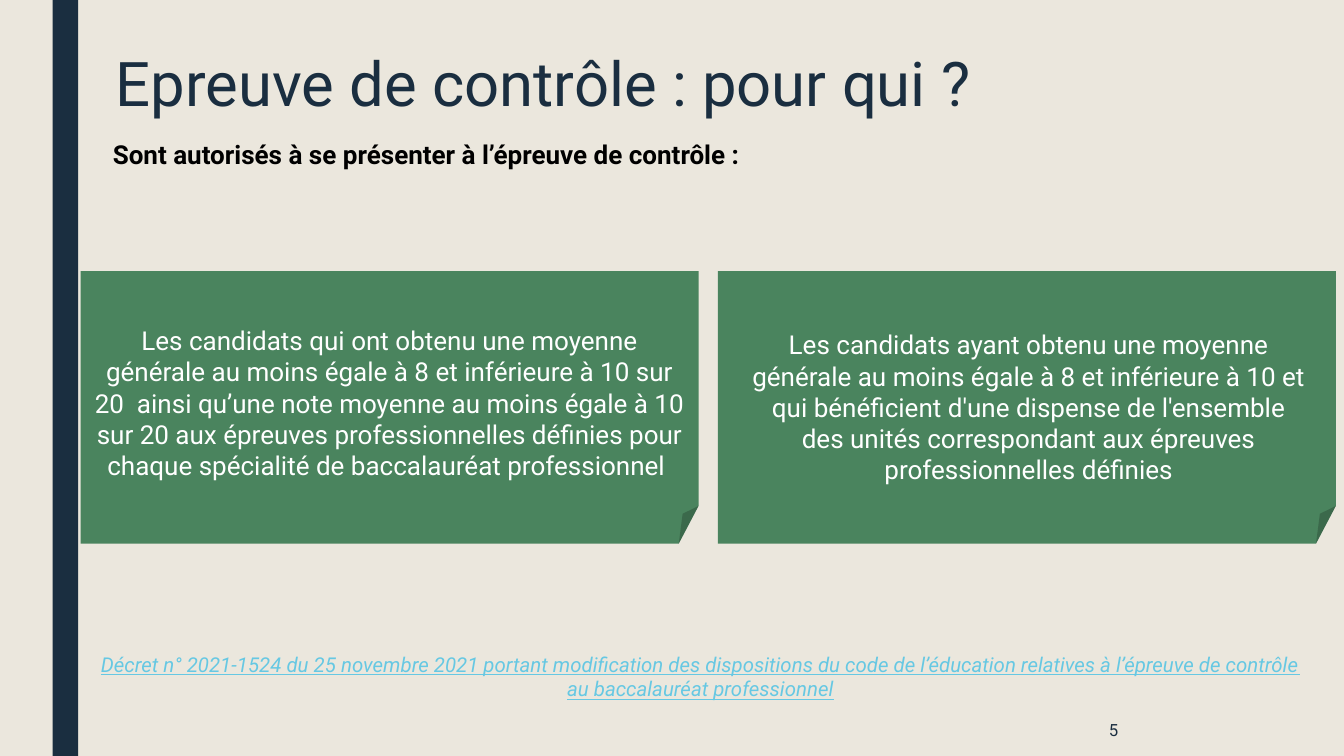
from lxml.etree import SubElement
from pptx import Presentation
from pptx.dml.color import RGBColor
from pptx.enum.shapes import MSO_SHAPE
from pptx.enum.text import MSO_ANCHOR, MSO_AUTO_SIZE, PP_ALIGN
from pptx.oxml.ns import qn
from pptx.util import Pt

BACKGROUND = RGBColor(0xEB, 0xE7, 0xDD)
NAVY = RGBColor(0x1A, 0x2E, 0x40)
GREEN = RGBColor(0x4A, 0x84, 0x5E)
LINK_BLUE = RGBColor(0x66, 0xC8, 0xE3)
BLACK = RGBColor(0, 0, 0)
WHITE = RGBColor(0xFF, 0xFF, 0xFF)

FONT = "Roboto"
BODY_SIZE, LINK_SIZE = 18.6, 14.6
CARD_WIDTH, CARD_HEIGHT = 441.4, 194.8
FOLD_WIDTH, FOLD_HEIGHT = 14.2, 27
CARDS = [
    ((57.6, 193.6), (2.9, 32.5, 435.6, 123),
     "Les candidats qui ont obtenu une moyenne générale au moins égale à 8 et "
     "inférieure à 10 sur 20  ainsi qu’une note moyenne au moins égale à 10 sur 20 "
     "aux épreuves professionnelles définies pour chaque spécialité de baccalauréat "
     "professionnel "),
    ((512.8, 193.6), (17.1, 35.6, 409.7, 123),
     "Les candidats ayant obtenu une moyenne générale au moins égale à 8 et "
     "inférieure à 10 et qui bénéficient d'une dispense de l'ensemble des unités "
     "correspondant aux épreuves professionnelles définies"),
]


def place(shape, box):
    shape.left, shape.top, shape.width, shape.height = map(Pt, box)


def write(shape, text, size, color, align, anchor=MSO_ANCHOR.TOP, insets=(5, 3.6),
          bold=False, italic=False, underline=False):
    frame = shape.text_frame
    frame.text = text
    frame.word_wrap = True
    frame.auto_size = MSO_AUTO_SIZE.NONE
    frame.vertical_anchor = anchor
    frame.margin_left = frame.margin_right = Pt(insets[0])
    frame.margin_top = frame.margin_bottom = Pt(insets[1])
    paragraph = frame.paragraphs[0]
    paragraph.alignment = align
    font = paragraph.runs[0].font
    font.name, font.size, font.color.rgb = FONT, Pt(size), color
    font.bold, font.italic, font.underline = bold, italic, underline
    return paragraph


def add_text(slide, box, *args, **style):
    return write(slide.shapes.add_textbox(*map(Pt, box)), *args, **style)


def paint(shape, color, opacity=None):
    shape.shadow.inherit = False
    shape.fill.solid()
    shape.fill.fore_color.rgb = color
    shape.line.fill.background()
    if opacity is not None:
        color_element = shape.element.spPr.find(qn("a:solidFill"))[0]
        SubElement(color_element, qn("a:alpha"), val=str(opacity * 1000))


def add_polygon(shapes, points, color, opacity=None):
    start, *others = [(Pt(x), Pt(y)) for x, y in points]
    builder = shapes.build_freeform(*start)
    builder.add_line_segments(others, close=True)
    paint(builder.convert_to_shape(), color, opacity)


def add_background(slide, height):
    slide.background.fill.solid()
    slide.background.fill.fore_color.rgb = BACKGROUND
    band = slide.shapes.add_shape(MSO_SHAPE.RECTANGLE, Pt(37.6), 0, Pt(18.2), Pt(height))
    paint(band, NAVY)


def add_heading(slide, box):
    left, top, width, height = box
    title = slide.shapes.title
    place(title, box)
    paragraph = write(title, "Epreuve de contrôle : pour qui ?", 44, NAVY,
                      PP_ALIGN.LEFT, insets=(7.2, 3.6))
    paragraph.line_spacing = 0.89
    add_text(slide, (left, top + 60.5, 878.4, 30),
             "Sont autorisés à se présenter à l’épreuve de contrôle :",
             BODY_SIZE, BLACK, PP_ALIGN.JUSTIFY, bold=True)


def add_card(slide, corner, text_box, text):
    left, top = corner
    right, bottom = left + CARD_WIDTH, top + CARD_HEIGHT
    fold_left, fold_top = right - FOLD_WIDTH, bottom - FOLD_HEIGHT
    group = slide.shapes.add_group_shape()
    add_polygon(group.shapes, [(left, top), (right, top), (right, fold_top),
                               (fold_left, bottom), (left, bottom)], GREEN)
    add_polygon(group.shapes, [(fold_left, bottom), (fold_left + 2.8, fold_top + 5.6),
                               (right, fold_top)], BLACK, opacity=20)
    x, y, width, height = text_box
    add_text(slide, (left + x, top + y, width, height), text, BODY_SIZE, WHITE,
             PP_ALIGN.CENTER, anchor=MSO_ANCHOR.MIDDLE, insets=(5, 5))


def add_footer(slide, box):
    left, top, width, height = box
    add_text(slide, box,
             "Décret n° 2021-1524 du 25 novembre 2021 portant modification des "
             "dispositions du code de l’éducation relatives à l’épreuve de contrôle "
             "au baccalauréat professionnel",
             LINK_SIZE, LINK_BLUE, PP_ALIGN.CENTER, italic=True, underline=True)
    add_text(slide, (left + 724, top + 52.2, 13.7, 13.7), "5", 12, NAVY, PP_ALIGN.RIGHT,
             anchor=MSO_ANCHOR.MIDDLE, insets=(0, 0))


def main():
    presentation = Presentation()
    presentation.slide_width, presentation.slide_height = Pt(960), Pt(540)
    slide = presentation.slides.add_slide(presentation.slide_layouts[5])
    add_background(slide, 540)
    add_heading(slide, (75.6, 34.8, 884, 75.6))
    for corner, text_box, text in CARDS:
        add_card(slide, corner, text_box, text)
    add_footer(slide, (61.2, 462.2, 878.4, 42.5))
    presentation.save("out.pptx")


if __name__ == "__main__":
    main()
